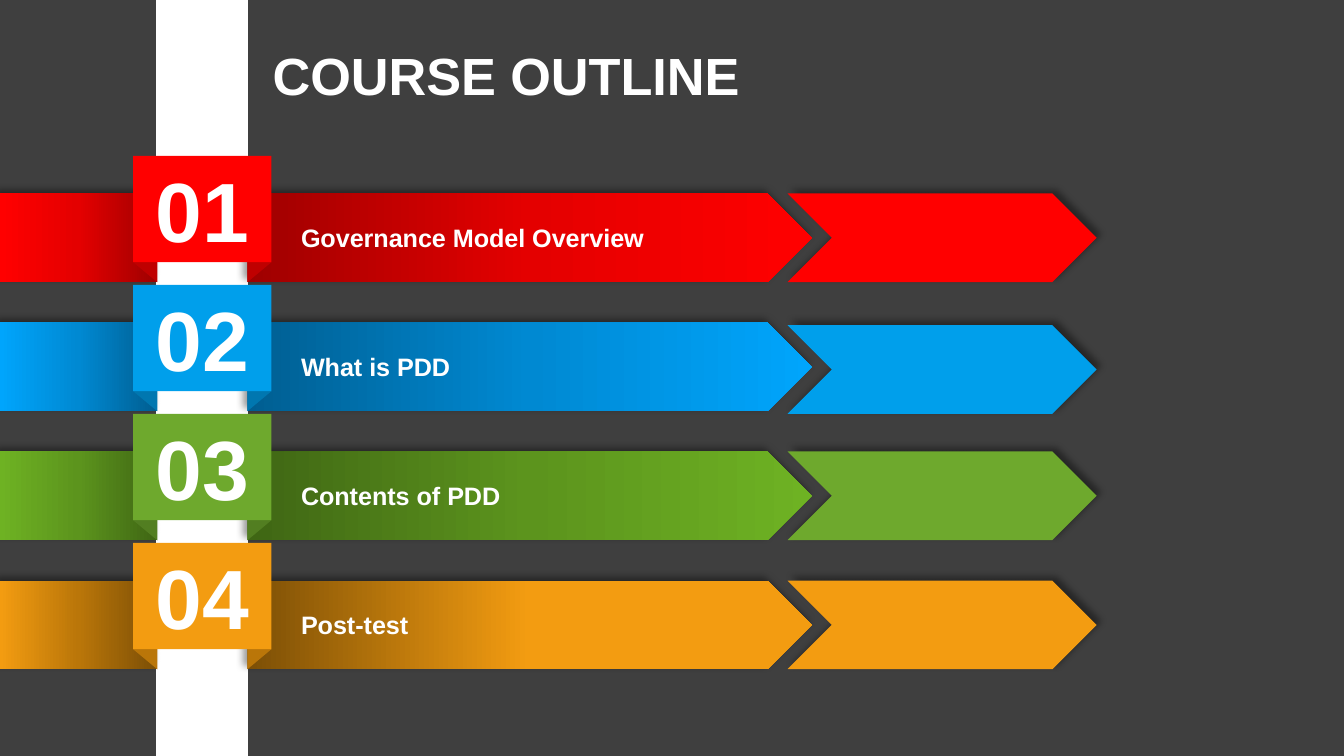
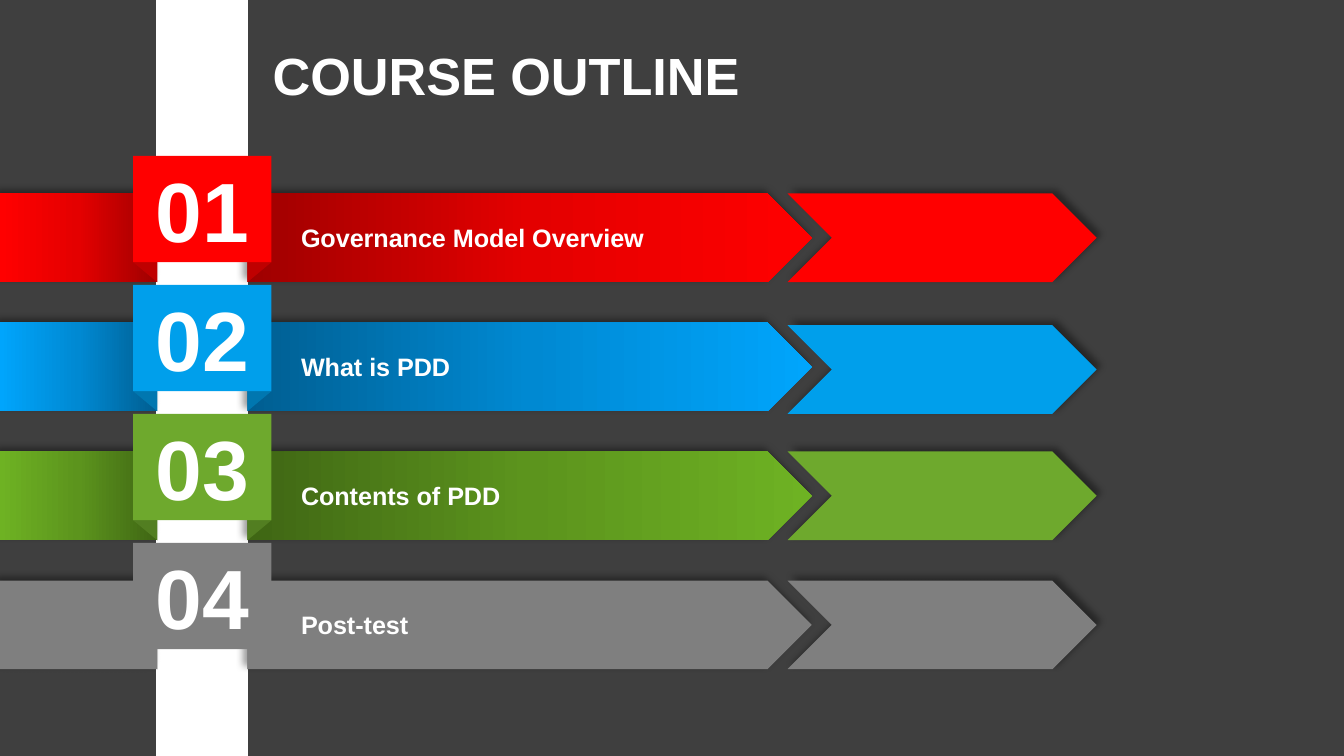
from copy import deepcopy
from dataclasses import dataclass

from lxml import etree
from pptx import Presentation, util as u
from pptx.dml.color import RGBColor
from pptx.enum import shapes, text
from pptx.oxml.ns import qn

TITLE = "COURSE OUTLINE"
TOPICS = ["Governance Model Overview", "What is PDD", "Contents of PDD", "Post-test"]

RED = dict(solid="FF0000", fold="BF0000",
           arrow=("9E0000", "E40000", "FF0000"), stub=("9E0000", "E40000", "FF0000"))
BLUE = dict(solid="009FEB", fold="0077B0",
            arrow=("005E91", "0089D2", "00A5FC"), stub=("005E91", "0089D2", "00A5FC"))
GREEN = dict(solid="6EA92D", fold="527E21",
             arrow=("3F6614", "5C941D", "6EB223"), stub=("3F6614", "5C941D", "6EB223"))
ORANGE = dict(solid="F39C11", fold="BA7609",
              arrow=("7C4F06", "F39C11", "F39C11"), stub=("7C4F06", "BA7609", "F39C11"))
GREY = dict.fromkeys(("solid", "fold", "arrow", "stub"), "7F7F7F")

SLIDES = [
    [RED, BLUE, GREEN, ORANGE],
    [RED, BLUE, GREEN, GREY],
]


@dataclass(frozen=True)
class Theme:
    font: str = "Arial"
    background: str = "3F3F3F"
    light: str = "FFFFFF"
    shadow: str = "000000"
    title_size: float = 28
    number_size: float = 45
    topic_size: float = 13.5


THEME = Theme()
WIDTH = 10
HEIGHT = WIDTH * 9 / 16
POST_LEFT, POST_WIDTH = 1.17, 0.67
POST_RIGHT = POST_LEFT + POST_WIDTH
FIRST_ROW, ROW_PITCH, ROW_HEIGHT = 1.44, 0.96, 0.66
FOLD_WIDTH, FOLD_HEIGHT = 0.18, 0.15
BADGE_HEIGHT = 0.79
ARROW_WIDTH = 4.2
CHEVRON_LEFT, CHEVRON_WIDTH = 5.86, 2.3
CHEVRON_SHIFTS = [0, 0.02, 0, 0]
TOPIC_INDENT = 0.33
LABEL_INSETS = (0.07, 0.04, 0.07, 0.04)
SHAPE = shapes.MSO_SHAPE


def inches(values):
    return [u.Inches(value) for value in values]


def apply(target, **values):
    for name, value in values.items():
        setattr(target, name, value)


def paint(shape, colours, angle):
    if isinstance(colours, str):
        shape.fill.solid()
        shape.fill.fore_color.rgb = RGBColor.from_string(colours)
        return
    shape.fill.gradient()
    shape.fill.gradient_angle = angle
    stop_list = shape._element.spPr.find(qn("a:gradFill")).find(qn("a:gsLst"))
    stop_list.insert(1, deepcopy(stop_list[0]))
    for index, (stop, colour) in enumerate(zip(shape.fill.gradient_stops, colours)):
        stop.position = index / (len(colours) - 1)
        stop.color.rgb = RGBColor.from_string(colour)


def cast_shadow(shape, direction):
    effects = shape._element.spPr.find(qn("a:effectLst"))
    shadow = etree.SubElement(effects, qn("a:outerShdw"), blurRad=str(u.Pt(4)),
                              dist=str(u.Pt(3)), dir=str(direction * 60000),
                              algn="ctr", rotWithShape="0")
    colour = etree.SubElement(shadow, qn("a:srgbClr"), val=THEME.shadow)
    etree.SubElement(colour, qn("a:alpha"), val="40000")


def add_block(parent, kind, box, colours, angle=0, shadow=None):
    shape = parent.shapes.add_shape(kind, *inches(box))
    shape.shadow.inherit = False
    shape.line.fill.background()
    paint(shape, colours, angle)
    if shadow is not None:
        cast_shadow(shape, shadow)
    return shape


def write(shape, words, size, insets, anchor, align, indent=0):
    frame = shape.text_frame
    left, top, right, bottom = inches(insets)
    apply(frame, word_wrap=True, vertical_anchor=anchor, margin_left=left,
          margin_top=top, margin_right=right, margin_bottom=bottom)
    paragraph = frame.paragraphs[0]
    paragraph.alignment = align
    if indent:
        properties = paragraph._p.get_or_add_pPr()
        properties.set("marL", str(u.Inches(indent)))
        properties.set("indent", "0")
    run = paragraph.add_run()
    run.text = words
    apply(run.font, name=THEME.font, size=u.Pt(size), bold=True)
    run.font.color.rgb = RGBColor.from_string(THEME.light)


def add_row(slide, index, topic, palette):
    top = FIRST_ROW + index * ROW_PITCH
    fold_top = top + ROW_HEIGHT - FOLD_HEIGHT
    badge_left = POST_LEFT - FOLD_WIDTH
    badge_width = POST_WIDTH + 2 * FOLD_WIDTH
    group = slide.shapes.add_group_shape()

    arrow = add_block(group, SHAPE.PENTAGON, (POST_RIGHT, top, ARROW_WIDTH, ROW_HEIGHT),
                      palette["arrow"], shadow=225)
    write(arrow, topic, THEME.topic_size, LABEL_INSETS, text.MSO_ANCHOR.MIDDLE,
          text.PP_ALIGN.LEFT, TOPIC_INDENT)
    add_block(group, SHAPE.RECTANGLE, (0, top, POST_LEFT, ROW_HEIGHT),
              palette["stub"], angle=180, shadow=225)

    for left, flipped in ((POST_RIGHT, True), (badge_left, False)):
        fold = add_block(group, SHAPE.RIGHT_TRIANGLE,
                         (left, fold_top, FOLD_WIDTH, FOLD_HEIGHT), palette["fold"])
        fold.rotation = 180
        if flipped:
            fold._element.spPr.find(qn("a:xfrm")).set("flipH", "1")

    badge = add_block(group, SHAPE.RECTANGLE,
                      (badge_left, fold_top - BADGE_HEIGHT, badge_width, BADGE_HEIGHT),
                      palette["solid"])
    write(badge, f"{index + 1:02}", THEME.number_size, LABEL_INSETS,
          text.MSO_ANCHOR.MIDDLE, text.PP_ALIGN.CENTER)

    add_block(slide, SHAPE.CHEVRON,
              (CHEVRON_LEFT, top + CHEVRON_SHIFTS[index], CHEVRON_WIDTH, ROW_HEIGHT),
              palette["solid"], shadow=315)


def add_outline(presentation, palettes):
    slide = presentation.slides.add_slide(presentation.slide_layouts[6])
    slide.background.fill.solid()
    slide.background.fill.fore_color.rgb = RGBColor.from_string(THEME.background)

    post = add_block(slide, SHAPE.RECTANGLE, (POST_LEFT, 0, POST_WIDTH, HEIGHT), THEME.light)
    post.line.color.rgb = RGBColor.from_string(THEME.light)
    post.line.width = u.Pt(1)

    for index, (topic, palette) in enumerate(zip(TOPICS, palettes)):
        add_row(slide, index, topic, palette)

    title = slide.shapes.add_textbox(*inches((1.93, 0.22, 9.32, 0.63)))
    write(title, TITLE, THEME.title_size, (0.1,) * 4, text.MSO_ANCHOR.TOP, text.PP_ALIGN.LEFT)


def main():
    presentation = Presentation()
    apply(presentation, slide_width=u.Inches(WIDTH), slide_height=u.Inches(HEIGHT))
    for palettes in SLIDES:
        add_outline(presentation, palettes)
    presentation.save("out.pptx")


if __name__ == "__main__":
    main()
